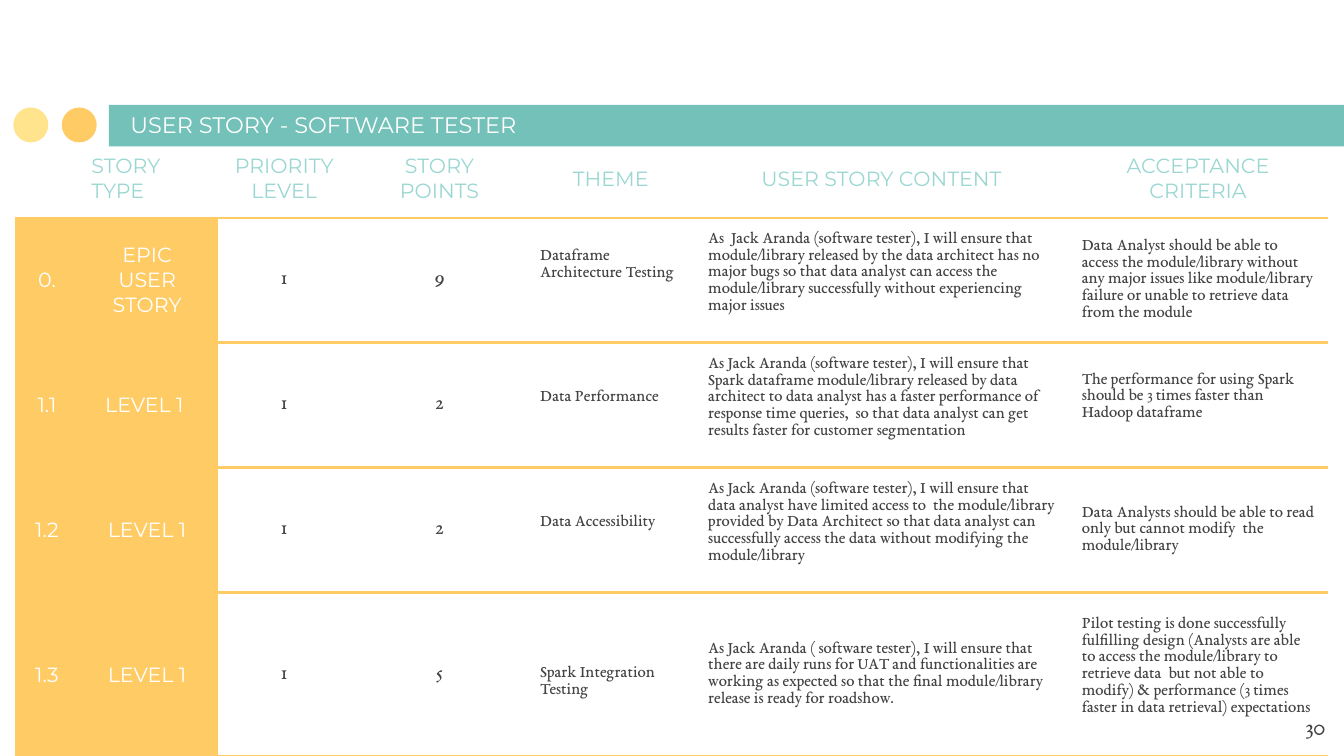
"""Build the software tester user story slide."""
from lxml import etree
from pptx import Presentation
from pptx.dml.color import RGBColor
from pptx.enum.shapes import MSO_SHAPE
from pptx.enum.text import MSO_ANCHOR, MSO_AUTO_SIZE, PP_ALIGN
from pptx.oxml import parse_xml
from pptx.oxml.ns import nsdecls
from pptx.util import Inches, Pt

LEFT, CENTER, RIGHT = PP_ALIGN.LEFT, PP_ALIGN.CENTER, PP_ALIGN.RIGHT
TOP, MIDDLE, BOTTOM = MSO_ANCHOR.TOP, MSO_ANCHOR.MIDDLE, MSO_ANCHOR.BOTTOM
RECT, OVAL = MSO_SHAPE.RECTANGLE, MSO_SHAPE.OVAL
SANS, SERIF = "Montserrat", "EB Garamond"
TEAL, MINT, ORANGE, YELLOW = "74C1B9", "9AD7D2", "FFCB64", "FFE48D"
WHITE, GREY = "FFFFFF", "434343"

SHAPES = [
    (RECT, 0.81, 0.78, 9.19, 0.31, TEAL),
    (OVAL, 0.46, 0.8, 0.26, 0.26, ORANGE),
    (OVAL, 0.1, 0.8, 0.26, 0.26, YELLOW),
]
COLS = [0.46, 1.03, 1.01, 1.3, 1.25, 2.78, 1.93]
ROWS = [0.58, 0.93, 0.93, 0.93, 1.22]
HEADERS = ["", "STORY TYPE", "PRIORITY LEVEL", "STORY POINTS", "THEME",
           "USER STORY CONTENT", "ACCEPTANCE CRITERIA"]
STORIES = [
    ["0.", "EPIC USER STORY", "1", "9", "Dataframe Architecture Testing",
     "As  Jack Aranda (software tester), I will ensure that module/library "
     "released by the data architect has no major bugs so that data analyst "
     "can access the module/library successfully without experiencing major issues",
     "Data Analyst should be able to access the module/library without  any "
     "major issues like module/library failure or unable to retrieve data from the module"],
    ["1.1", "LEVEL 1 ", "1", "2", "Data Performance",
     "As Jack Aranda (software tester), I will ensure that Spark dataframe "
     "module/library released by data architect to data analyst has a faster "
     "performance of response time queries,  so that data analyst can get "
     "results faster for customer segmentation",
     "The performance for using Spark should be 3 times faster than Hadoop dataframe"],
    ["1.2", "LEVEL 1", "1", "2", "Data Accessibility",
     "As Jack Aranda (software tester), I will ensure that  data analyst have "
     "limited access to  the module/library provided by Data Architect so that "
     "data analyst can successfully access the data without modifying the module/library",
     "Data Analysts should be able to read only but cannot modify  the module/library"],
    ["1.3", "LEVEL 1", "1", "5", "Spark Integration Testing",
     "As Jack Aranda ( software tester), I will ensure that there are daily runs "
     "for UAT and functionalities are working as expected so that the final "
     "module/library release is ready for roadshow.",
     "Pilot testing is done successfully fulfilling design (Analysts are able to "
     "access the module/library to retrieve data  but not able to modify) & "
     "performance (3 times faster in data retrieval) expectations"],
]
THEME_DROPS = [0, 0.13, 0.25, 0.25, 0.12]
CRITERIA_LIFTS = [0, 0, 0.12, 0, 0.12]


def rgb(value):
    return RGBColor.from_string(value)


def write(tf, text, size=11, font=SANS, color=GREY, align=LEFT):
    tf.word_wrap = True
    p = tf.paragraphs[0]
    p.alignment = align
    r = p.add_run()
    r.text = text
    r.font.size = Pt(size)
    r.font.name = font
    r.font.bold = False
    r.font.color.rgb = rgb(color)


prs = Presentation()
prs.slide_width = Inches(10)
prs.slide_height = prs.slide_width * 9 // 16
s = prs.slides.add_slide(prs.slide_layouts[5])

for kind, x, y, w, h, color in SHAPES:
    sp = s.shapes.add_shape(kind, Inches(x), Inches(y), Inches(w), Inches(h))
    sp.shadow.inherit = False
    sp.fill.solid()
    sp.fill.fore_color.rgb = rgb(color)
    sp.line.fill.background()

title = s.shapes.title
s.shapes._spTree.append(title._element)
title.left, title.top = Inches(0.87), Inches(0.79)
title.width, title.height = Inches(5.48), Inches(0.34)
tf = title.text_frame
tf.auto_size = MSO_AUTO_SIZE.NONE
tf.vertical_anchor = BOTTOM
tf.margin_left = tf.margin_right = tf.margin_top = tf.margin_bottom = Inches(0.1)
write(tf, "USER STORY - SOFTWARE TESTER", size=12, color=WHITE)

table = s.shapes.add_table(len(ROWS), len(COLS), Inches(0.12), Inches(1.04),
                           Inches(sum(COLS)), Inches(sum(ROWS))).table
table.first_row = table.horz_banding = False
for col, width in zip(table.columns, COLS):
    col.width = Inches(width)
for row, height in zip(table.rows, ROWS):
    row.height = Inches(height)

for i, texts in enumerate([HEADERS] + STORIES):
    for j, text in enumerate(texts):
        cell = table.cell(i, j)
        cell.margin_left = cell.margin_right = Inches(0.1)
        cell.margin_top = Inches(0.1 + (THEME_DROPS[i] if j == 4 else 0))
        cell.margin_bottom = Inches(0.1 + (CRITERIA_LIFTS[i] if j == 6 else 0))
        top_aligned = 1 <= i <= 3 and j in (4, 5)
        cell.vertical_anchor = TOP if top_aligned else MIDDLE
        label = i > 0 and j < 2
        if label:
            cell.fill.solid()
            cell.fill.fore_color.rgb = rgb(ORANGE)
        else:
            cell.fill.background()

        if i == 0:
            style = dict(color=MINT, align=CENTER if j > 1 else LEFT)
        elif label:
            style = dict(color=WHITE, align=CENTER)
        elif j < 4:
            style = dict(font=SERIF, align=CENTER)
        else:
            style = dict(font=SERIF, size=9)
        if text:
            write(cell.text_frame, text, **style)

        sides = {"L": label or (i > 0 and j == 2), "R": label, "T": i > 0, "B": True}
        tcPr = cell._tc.get_or_add_tcPr()
        for k, (side, drawn) in enumerate(sides.items()):
            ln = parse_xml(f'<a:ln{side} {nsdecls("a")} w="{Pt(1.5)}"/>')
            if drawn:
                ln.append(parse_xml(f'<a:solidFill {nsdecls("a")}>'
                                    f'<a:srgbClr val="{ORANGE}"/></a:solidFill>'))
            else:
                etree.SubElement(ln, ln.tag.split("}")[0] + "}noFill")
            tcPr.insert(k, ln)

tf = s.shapes.add_textbox(Inches(9.36), Inches(5.19), Inches(0.6), Inches(0.43)).text_frame
tf.margin_left = tf.margin_right = tf.margin_top = tf.margin_bottom = Inches(0.1)
write(tf, "30", size=13, font=SERIF, align=RIGHT)

prs.save("out.pptx")
